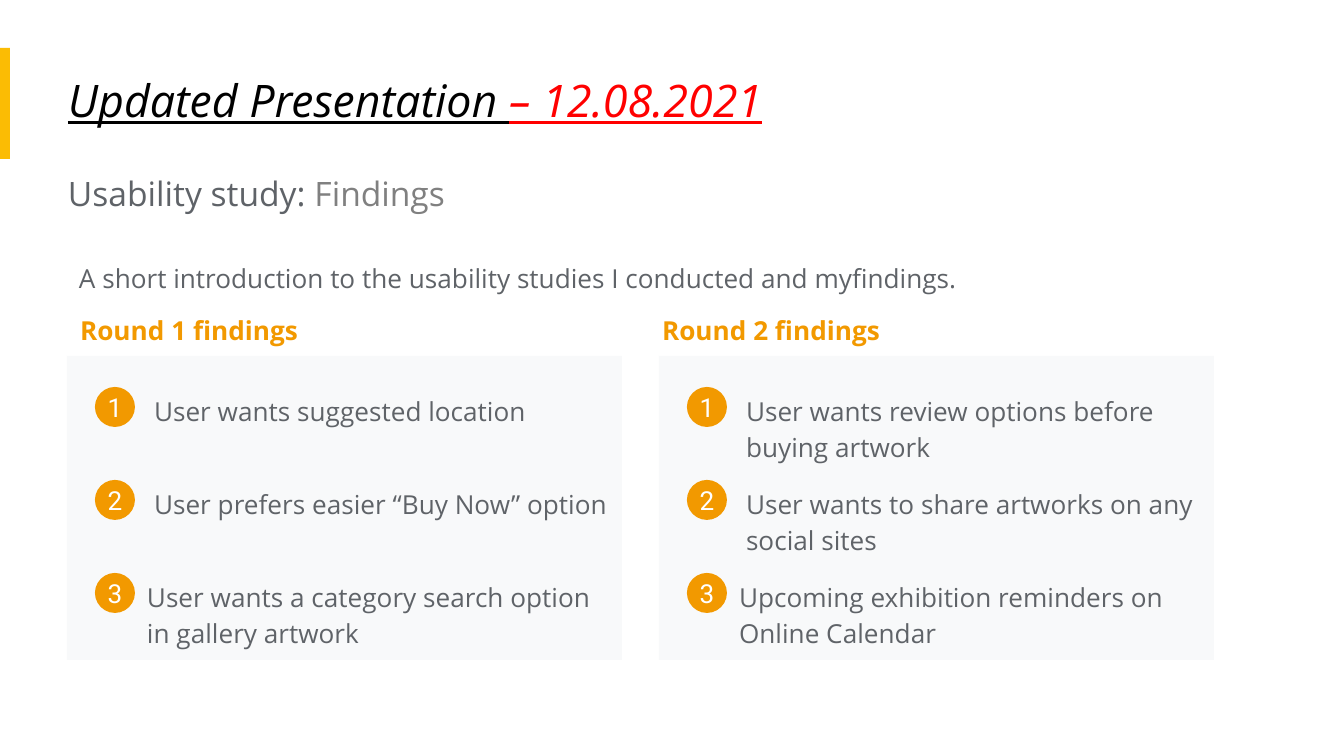
from pptx import Presentation
from pptx import util as u
from pptx.dml.color import RGBColor
from pptx.enum import shapes, text

BLACK = RGBColor(0x00, 0x00, 0x00)
WHITE = RGBColor(0xFF, 0xFF, 0xFF)
RED = RGBColor(0xFF, 0x00, 0x00)
SLATE = RGBColor(0x5F, 0x63, 0x68)
GRAY = RGBColor(0x80, 0x80, 0x80)
ORANGE = RGBColor(0xF2, 0x99, 0x00)
YELLOW = RGBColor(0xFB, 0xBC, 0x04)
PALE = RGBColor(0xF8, 0xF9, 0xFA)
SANS, ROBOTO = "Open Sans", "Roboto"

# Content
TITLE = [("Updated Presentation ", BLACK), ("– 12.08.2021", RED)]
TOPIC = [("Usability study: ", SLATE), ("Findings", GRAY)]
INTRO = "A short introduction to the usability studies I conducted and myfindings."
# card left, heading left, heading, findings
ROUNDS = [
    (67, 67, "Round 1 findings", [
        "User wants suggested location",
        "User prefers easier “Buy Now” option",
        "User wants a category search option in gallery artwork",
    ]),
    (659, 649, "Round 2 findings", [
        "User wants review options before buying artwork",
        "User wants to share artworks on any social sites",
        "Upcoming exhibition reminders on Online Calendar",
    ]),
]

# Layout in px
TOP, STEP = 356, 93
WIDE, TALL = 555, 304
DOT, COL = 40, 491
INDENTS = [74, 74, 67]


def px(n):
    return round(n * u.Inches(1) / 134.4)


def add_run(para, words, size, color, font=SANS, bold=False, fancy=False):
    run = para.add_run()
    run.text = words
    face = run.font
    face.name, face.size, face.color.rgb = font, u.Pt(size), color
    face.bold, face.italic, face.underline = bold, fancy, fancy


def add_box(x, y, w, h, left=13):
    frame = slide.shapes.add_textbox(px(x), px(y), px(w), px(h)).text_frame
    frame.word_wrap = True
    frame.auto_size = text.MSO_AUTO_SIZE.SHAPE_TO_FIT_TEXT
    frame.margin_left = px(left)
    frame.margin_right = frame.margin_top = frame.margin_bottom = px(13)
    return frame


def add_body(x, y, w, h, words, color=SLATE, bold=False, left=13):
    para = add_box(x, y, w, h, left).paragraphs[0]
    para.line_spacing = 1.15
    add_run(para, words, 14, color, bold=bold)


def add_form(kind, x, y, w, h, color):
    form = slide.shapes.add_shape(kind, px(x), px(y), px(w), px(h))
    form.shadow.inherit = False
    form.fill.solid()
    form.fill.fore_color.rgb = color
    form.line.fill.background()
    return form


def add_badge(x, y, num):
    frame = add_form(shapes.MSO_SHAPE.OVAL, x, y, DOT, DOT, ORANGE).text_frame
    frame.margin_left = frame.margin_right = 0
    frame.margin_top = frame.margin_bottom = 0
    frame.vertical_anchor = text.MSO_ANCHOR.MIDDLE
    para = frame.paragraphs[0]
    para.alignment = text.PP_ALIGN.CENTER
    add_run(para, str(num), 14, WHITE, font=ROBOTO)


deck = Presentation()
deck.slide_width, deck.slide_height = px(1344), px(756)
slide = deck.slides.add_slide(deck.slide_layouts[6])

# Accent bar and title
add_form(shapes.MSO_SHAPE.RECTANGLE, 0, 48, 10, 111, YELLOW)
head = add_box(68, 60, 1180, 163, left=0)
for words, color in TITLE:
    add_run(head.paragraphs[0], words, 24, color, fancy=True)
topic = head.add_paragraph()
topic.space_before = u.Pt(24.5)
for words, color in TOPIC:
    add_run(topic, words, 18, color)

# Introduction
add_body(79, 245, 1157, 99, INTRO, left=0)

# Rounds: heading, card and numbered findings
for card, label, name, finds in ROUNDS:
    add_body(label, 297, COL, 59, name, ORANGE, bold=True)
    add_form(shapes.MSO_SHAPE.RECTANGLE, card, TOP, WIDE, TALL, PALE)
    for i, (find, indent) in enumerate(zip(finds, INDENTS)):
        y = TOP + i * STEP
        add_body(card + indent, y + 22, COL, 99, find)
        add_badge(card + 28, y + 31, i + 1)

deck.save("out.pptx")
